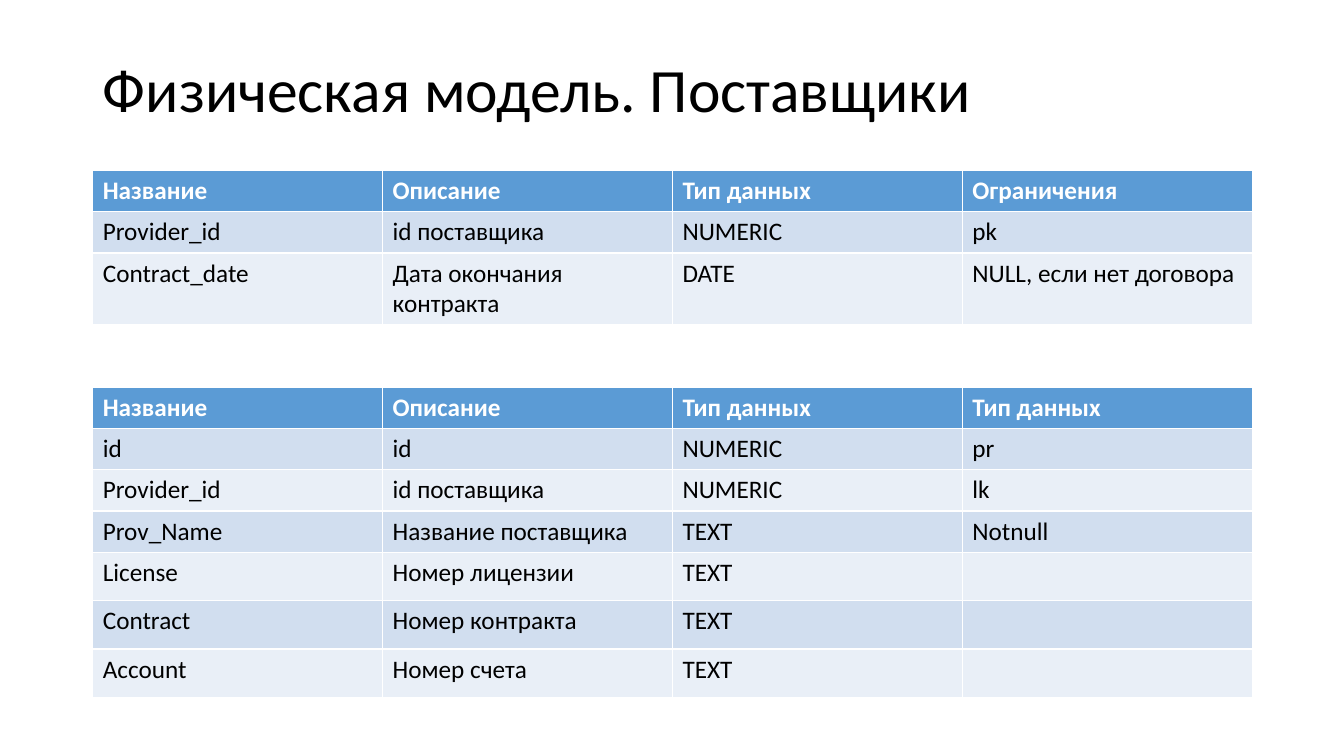
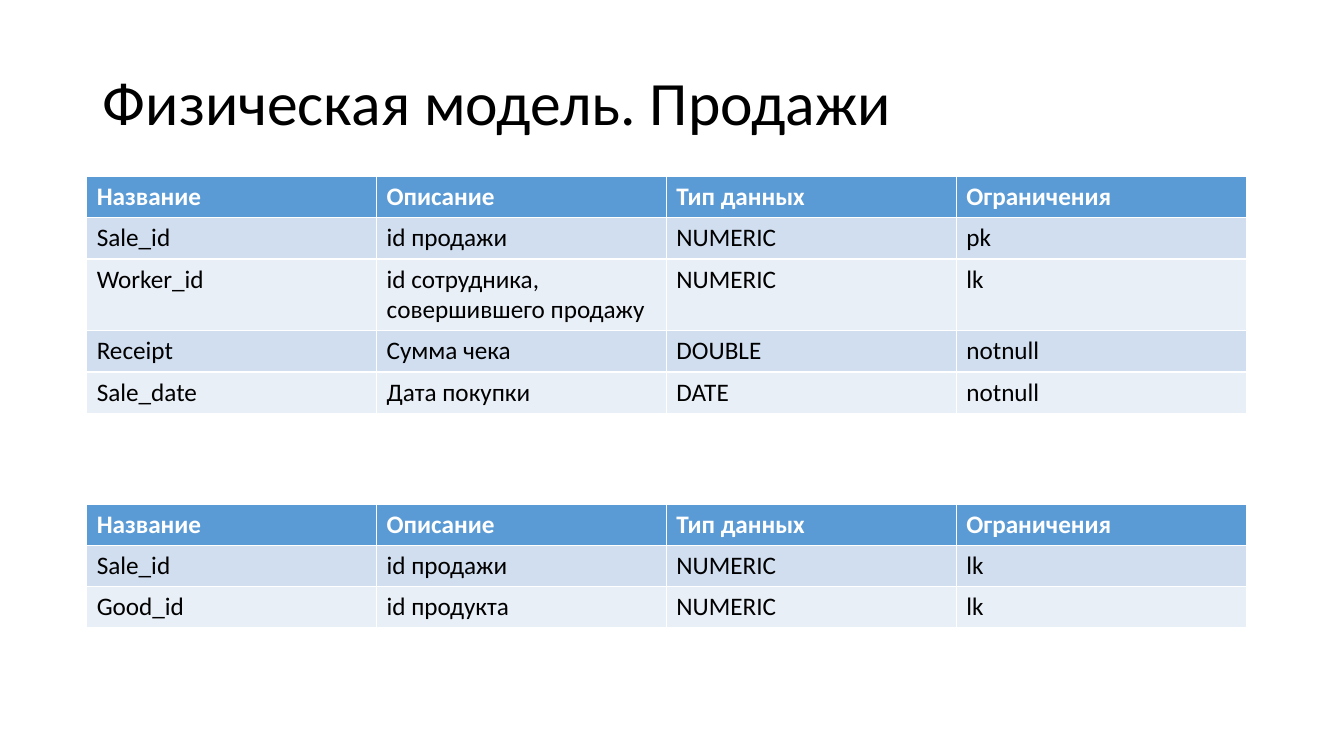
from dataclasses import dataclass

from lxml import etree
from pptx import Presentation
from pptx.dml.color import RGBColor
from pptx.enum.text import MSO_ANCHOR, PP_ALIGN
from pptx.oxml.ns import qn
from pptx.presentation import Presentation as Deck
from pptx.slide import Slide
from pptx.table import _Cell
from pptx.text.text import TextFrame
from pptx.util import Inches, Pt

LEFT = PP_ALIGN.LEFT
MIDDLE = MSO_ANCHOR.MIDDLE
TITLE_ONLY_LAYOUT = 5


@dataclass(frozen=True)
class Theme:
    font: str = "Calibri"
    title_size: float = 44
    table_size: float = 18
    border_width: float = 0.96
    text: str = "000000"
    white: str = "FFFFFF"
    header: str = "5B9BD5"
    bands: tuple[str, str] = ("D1DEEF", "E9EFF7")


@dataclass(frozen=True)
class FieldTable:
    top: float
    rows: tuple[tuple[str, ...], ...]
    last_heading: str = "Ограничения"


@dataclass(frozen=True)
class ModelSlide:
    title: str
    title_top: float
    table_left: float
    tables: tuple[FieldTable, ...]


THEME = Theme()
HEADINGS = ("Название", "Описание", "Тип данных")
CONTENT_LEFT = 0.92
CONTENT_WIDTH = 11.5
TITLE_HEIGHT = 1.45
ROW_HEIGHT = 0.41
WRAPPED_ROW_HEIGHT = 0.71
INCOMPLETE_ROW_HEIGHT = 0.48
WRAP_LENGTH = 23

MODEL_SLIDES = (
    ModelSlide("Физическая модель. Поставщики", 0.19, CONTENT_LEFT, (
        FieldTable(1.69, (
            ("Provider_id", "id поставщика", "NUMERIC", "pk"),
            ("Contract_date", "Дата окончания контракта", "DATE", "NULL, если нет договора"),
        )),
        FieldTable(3.84, (
            ("id", "id", "NUMERIC", "pr"),
            ("Provider_id", "id поставщика", "NUMERIC", "lk"),
            ("Prov_Name", "Название поставщика", "TEXT", "Notnull"),
            ("License", "Номер лицензии", "TEXT", ""),
            ("Contract", "Номер контракта", "TEXT", ""),
            ("Account", "Номер счета", "TEXT", ""),
        ), last_heading="Тип данных"),
    )),
    ModelSlide("Физическая модель. Продажи", 0.32, 0.86, (
        FieldTable(1.75, (
            ("Sale_id", "id продажи", "NUMERIC", "pk"),
            ("Worker_id", "id сотрудника, совершившего продажу", "NUMERIC", "lk"),
            ("Receipt", "Сумма чека", "DOUBLE", "notnull"),
            ("Sale_date", "Дата покупки", "DATE", "notnull"),
        )),
        FieldTable(5, (
            ("Sale_id", "id продажи", "NUMERIC", "lk"),
            ("Good_id", "id продукта", "NUMERIC", "lk"),
        )),
    )),
)


def write_text(frame: TextFrame, text: str, *, size: float, color: str = THEME.text,
               bold: bool = False, line_spacing: float = 1.0) -> None:
    paragraph = frame.paragraphs[0]
    paragraph.alignment = LEFT
    paragraph.line_spacing = line_spacing
    run = paragraph.add_run()
    run.text = text
    run.font.name = THEME.font
    run.font.size = Pt(size)
    run.font.bold = bold
    run.font.color.rgb = RGBColor.from_string(color)


def add_title(slide: Slide, text: str, top: float) -> None:
    title = slide.shapes.title
    title.left, title.top = Inches(CONTENT_LEFT), Inches(top)
    title.width, title.height = Inches(CONTENT_WIDTH), Inches(TITLE_HEIGHT)
    title.text_frame.vertical_anchor = MIDDLE
    write_text(title.text_frame, text, size=THEME.title_size, line_spacing=0.9)


def style_cell(cell: _Cell, fill: str) -> None:
    properties = cell._tc.get_or_add_tcPr()
    for side in ("a:lnL", "a:lnR", "a:lnT", "a:lnB"):
        border = etree.SubElement(properties, qn(side), w=str(Pt(THEME.border_width)))
        line_fill = etree.SubElement(border, qn("a:solidFill"))
        etree.SubElement(line_fill, qn("a:srgbClr"), val=THEME.white)
    cell.fill.solid()
    cell.fill.fore_color.rgb = RGBColor.from_string(fill)


def row_height(values: tuple[str, ...]) -> float:
    if not all(values):
        return INCOMPLETE_ROW_HEIGHT
    if max(map(len, values)) > WRAP_LENGTH:
        return WRAPPED_ROW_HEIGHT
    return ROW_HEIGHT


def add_field_table(slide: Slide, field_table: FieldTable, left: float) -> None:
    rows = ((*HEADINGS, field_table.last_heading), *field_table.rows)
    heights = [row_height(values) for values in rows]
    table = slide.shapes.add_table(
        len(rows), len(rows[0]), Inches(left), Inches(field_table.top),
        Inches(CONTENT_WIDTH), Inches(sum(heights))).table
    table.horz_banding = False
    for column in table.columns:
        column.width = Inches(CONTENT_WIDTH / len(rows[0]))
    for row_index, values in enumerate(rows):
        is_header = row_index == 0
        fill = THEME.header if is_header else THEME.bands[(row_index - 1) % 2]
        color = THEME.white if is_header else THEME.text
        table.rows[row_index].height = Inches(heights[row_index])
        for column_index, value in enumerate(values):
            cell = table.cell(row_index, column_index)
            style_cell(cell, fill)
            if value:
                write_text(cell.text_frame, value, size=THEME.table_size,
                           color=color, bold=is_header)


def add_model_slide(presentation: Deck, model: ModelSlide) -> None:
    slide = presentation.slides.add_slide(presentation.slide_layouts[TITLE_ONLY_LAYOUT])
    add_title(slide, model.title, model.title_top)
    for field_table in model.tables:
        add_field_table(slide, field_table, model.table_left)


def main() -> None:
    presentation = Presentation()
    presentation.slide_width = Inches(13.33)
    presentation.slide_height = Inches(7.5)
    for model in MODEL_SLIDES:
        add_model_slide(presentation, model)
    presentation.save("out.pptx")


if __name__ == "__main__":
    main()
